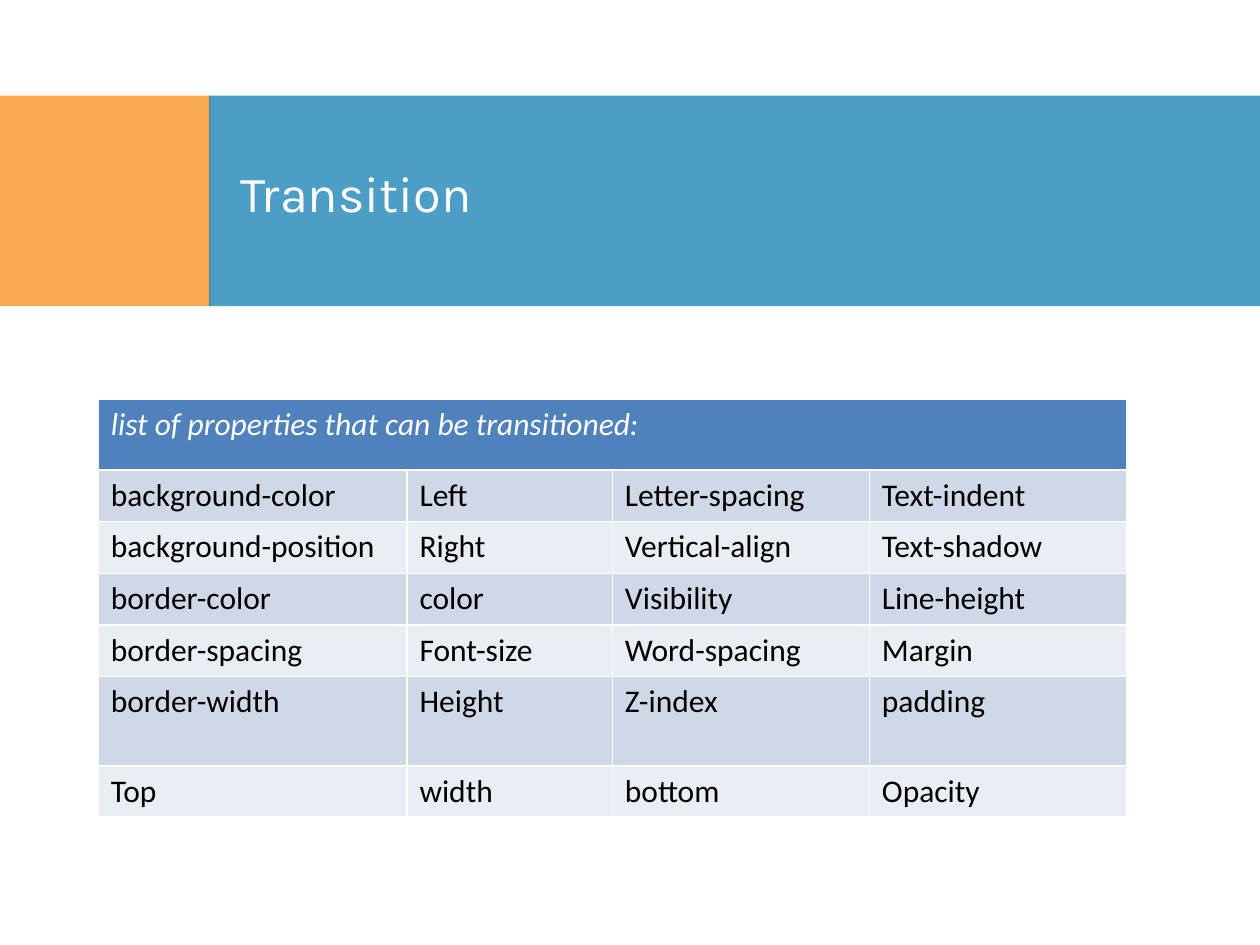
from lxml.etree import SubElement
from pptx import Presentation
from pptx.dml.color import RGBColor
from pptx.enum.shapes import MSO_SHAPE
from pptx.enum.text import MSO_ANCHOR
from pptx.oxml.ns import qn
from pptx.util import Inches, Pt


def paint(fill, color):
    fill.solid()
    fill.fore_color.rgb = RGBColor.from_string(color)


def write(frame, text, font, size, color, italic=False):
    para = frame.paragraphs[0]
    span = para.add_run()
    span.text = text
    span.font.name = font
    span.font.size = Pt(size)
    span.font.bold = False
    span.font.italic = italic
    paint(span.font.fill, color)


deck = Presentation()
deck.slide_width = Inches(10)
deck.slide_height = Inches(7.5)
page = deck.slides.add_slide(deck.slide_layouts[6])

for left, width, color in [(0, 1.67, "F88608"), (1.66, 8.34, "0075B0")]:
    band = page.shapes.add_shape(
        MSO_SHAPE.RECTANGLE, Inches(left), Inches(0.76), Inches(width), Inches(1.67)
    )
    band.shadow.inherit = False
    band.line.fill.background()
    paint(band.fill, color)
    tint = band.fill._xPr.find(qn("a:solidFill"))[0]
    SubElement(tint, qn("a:alpha"), val="70000")

title = page.shapes.add_textbox(Inches(1.81), Inches(1.22), Inches(7.94), Inches(0.62))
title.text_frame.word_wrap = True
title.text_frame.vertical_anchor = MSO_ANCHOR.MIDDLE
write(title.text_frame, "Transition", "Karla", 28.8, "FFFFFF")

properties = [
    ["background-color", "Left", "Letter-spacing", "Text-indent"],
    ["background-position", "Right", "Vertical-align", "Text-shadow"],
    ["border-color", "color", "Visibility", "Line-height"],
    ["border-spacing", "Font-size", "Word-spacing", "Margin"],
    ["border-width", "Height", "Z-index", "padding"],
    ["Top", "width", "bottom", "Opacity"],
]
column_widths = [2.45, 1.63, 2.04, 2.04]
row_heights = [0.56, 0.41, 0.41, 0.41, 0.41, 0.71, 0.4]
table = page.shapes.add_table(
    len(row_heights), len(column_widths),
    Inches(0.78), Inches(3.17), Inches(sum(column_widths)), Inches(sum(row_heights)),
).table
for column, width in zip(table.columns, column_widths):
    column.width = Inches(width)
for row, height in zip(table.rows, row_heights):
    row.height = Inches(height)

header = table.cell(0, 0)
header.merge(table.cell(0, 3))
paint(header.fill, "4F81BD")
write(header.text_frame, "list of properties that can be transitioned:", "Calibri", 18, "FFFFFF", True)

for row_index, names in enumerate(properties, 1):
    for column_index, name in enumerate(names):
        cell = table.cell(row_index, column_index)
        paint(cell.fill, "D0D8E8" if row_index % 2 else "E9EDF4")
        write(cell.text_frame, name, "Calibri", 18, "000000")

deck.save("out.pptx")
